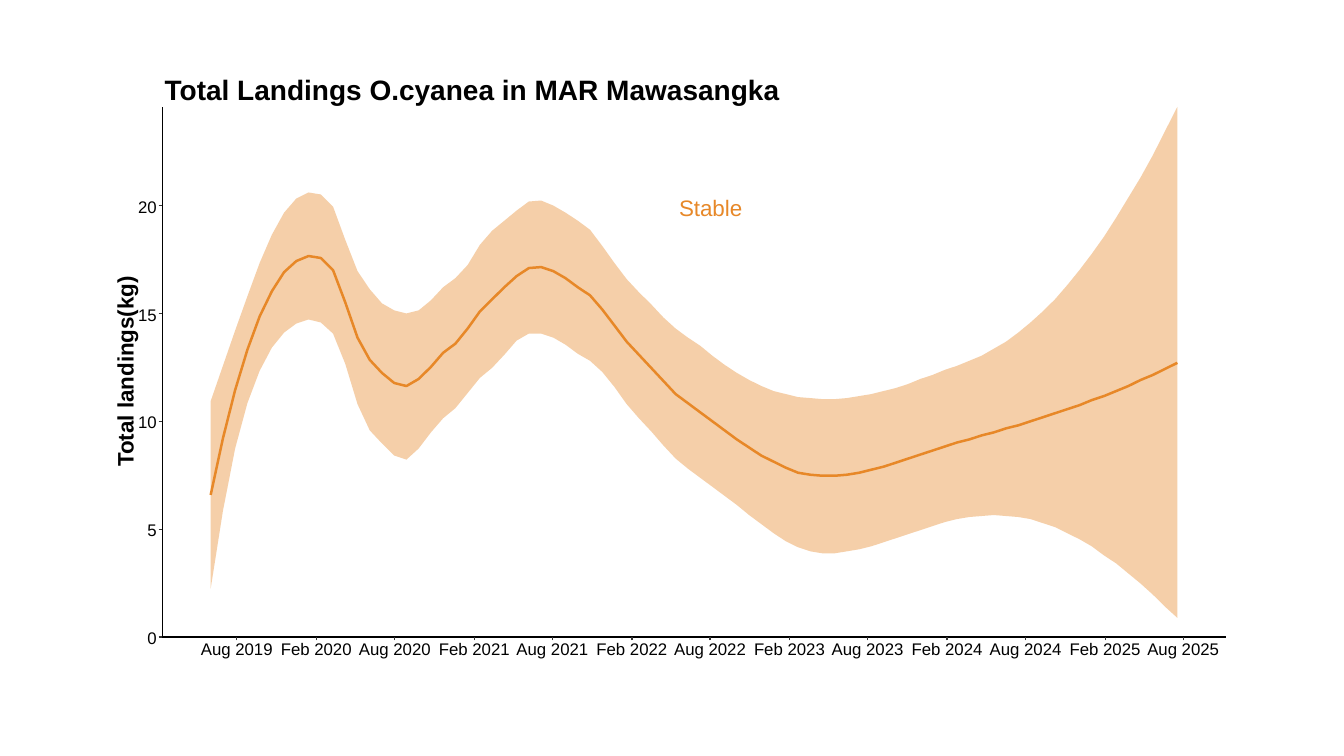
from dataclasses import dataclass

from lxml.etree import SubElement
from pptx import Presentation
from pptx.dml.color import RGBColor
from pptx.enum.text import MSO_AUTO_SIZE, PP_ALIGN
from pptx.oxml.ns import qn
from pptx.util import Pt


@dataclass(frozen=True)
class Theme:
    font: str = "Arial"
    orange: RGBColor = RGBColor(0xE7, 0x88, 0x28)
    black: RGBColor = RGBColor(0, 0, 0)
    tick: RGBColor = RGBColor(0x33, 0x33, 0x33)
    band_alpha: int = 40
    title: int = 20
    heading: int = 16
    label: int = 12
    trend_width: float = 1.78
    axis_width: float = 0.89


THEME = Theme()
UNIT = 0.72
AXIS_X, AXIS_TOP, AXIS_Y, AXIS_RIGHT = 115.9, 76.3, 455.0, 875.5
DATA_LEFT, DATA_RIGHT = 150.5, 841.0
TICK = 2.5
FIVE_KG = 77.05
FIRST_DATE_X, DAY = 169.2, 0.3084

UPPER = [
    398, 363, 328, 294, 261, 233, 211, 197, 191, 193, 205, 238, 269, 287, 301, 308,
    311, 308, 298, 285, 276, 263, 243, 229, 219, 209, 200, 199, 204, 211, 219, 228,
    244, 261, 277, 290, 302, 315, 326, 335, 343, 353, 362, 370, 377, 383, 388, 391,
    394, 395, 396, 396, 395, 393, 391, 388, 385, 381, 376, 372, 367, 363, 358, 353,
    346, 339, 330, 320, 309, 297, 283, 268, 252, 235, 216, 196, 176, 154, 130, 106,
]
TREND = [
    491, 435, 387, 347, 314, 289, 270, 259, 254, 256, 268, 300, 335, 357, 370, 380,
    383, 376, 364, 350, 341, 326, 309, 297, 285, 274, 266, 265, 269, 276, 285, 293,
    307, 323, 339, 352, 365, 378, 391, 400, 409, 418, 427, 436, 444, 452, 458, 464,
    469, 471, 472, 472, 471, 469, 466, 463, 459, 455, 451, 447, 443, 439, 436, 432,
    429, 425, 422, 418, 414, 410, 406, 402, 397, 393, 388, 383, 377, 372, 366, 360,
]
LOWER = [
    584, 507, 445, 400, 368, 345, 330, 321, 317, 320, 331, 361, 401, 427, 440, 452,
    456, 445, 429, 415, 405, 390, 375, 365, 352, 338, 331, 331, 335, 342, 351, 358,
    369, 384, 401, 415, 428, 442, 455, 465, 474, 483, 492, 501, 511, 520, 529, 537,
    543, 547, 549, 549, 547, 545, 542, 538, 534, 530, 526, 522, 518, 515, 513, 512,
    511, 512, 513, 515, 519, 523, 529, 535, 542, 551, 559, 569, 579, 590, 602, 613,
]


def curve_points(levels):
    step = (DATA_RIGHT - DATA_LEFT) / (len(levels) - 1)
    return [(Pt(DATA_LEFT + i * step), Pt(y * UNIT)) for i, y in enumerate(levels)]


def add_outline(s, points, close):
    builder = s.shapes.build_freeform(*points[0])
    builder.add_line_segments(points[1:], close=close)
    sp = builder.convert_to_shape()
    sp.shadow.inherit = False
    return sp


def add_band(s, upper, lower):
    sp = add_outline(s, curve_points(upper) + curve_points(lower)[::-1], True)
    sp.fill.solid()
    sp.fill.fore_color.rgb = THEME.orange
    color = sp.fill._xPr.find(qn("a:solidFill"))[0]
    SubElement(color, qn("a:alpha"), val=str(THEME.band_alpha * 1000))
    sp.line.fill.background()


def add_trend(s, levels):
    sp = add_outline(s, curve_points(levels), False)
    sp.fill.background()
    sp.line.color.rgb = THEME.orange
    sp.line.width = Pt(THEME.trend_width)


def add_line(s, x1, y1, x2, y2, color):
    line = s.shapes.add_connector(1, Pt(x1), Pt(y1), Pt(x2), Pt(y2))
    line.line.color.rgb = color
    line.line.width = Pt(THEME.axis_width)
    SubElement(line._element.spPr, qn("a:effectLst"))


def add_label(s, text, x, y, w, h, size, color=THEME.black, bold=False, rotation=0):
    sp = s.shapes.add_textbox(Pt(x), Pt(y), Pt(w), Pt(h))
    sp.rotation = rotation
    tf = sp.text_frame
    tf.text = text
    tf.word_wrap = False
    tf.auto_size = MSO_AUTO_SIZE.SHAPE_TO_FIT_TEXT
    p = tf.paragraphs[0]
    p.alignment = PP_ALIGN.CENTER
    r = p.runs[0]
    r.font.name = THEME.font
    r.font.size = Pt(size)
    r.font.bold = bold
    r.font.color.rgb = color


def add_landings_axis(s):
    add_line(s, AXIS_X, AXIS_Y, AXIS_X, AXIS_TOP, THEME.black)
    for i in range(5):
        y = AXIS_Y - i * FIVE_KG
        text = str(5 * i)
        w = 14.4 + 6.67 * len(text)
        add_line(s, AXIS_X - TICK, y, AXIS_X, y, THEME.tick)
        add_label(s, text, 119.2 - w, y - 10, w, 21.6, THEME.label)


def add_date_axis(s):
    add_line(s, AXIS_X, AXIS_Y, AXIS_RIGHT, AXIS_Y, THEME.black)
    x = FIRST_DATE_X
    for i in range(13):
        month = ("Aug", "Feb")[i % 2]
        year = 2019 + (i + 1) // 2
        add_line(s, x, AXIS_Y + TICK, x, AXIS_Y, THEME.tick)
        add_label(s, f"{month} {year}", x - 33, 452.9, 66, 21.6, THEME.label)
        days = 184 if month == "Aug" else 181 + (year % 4 == 0)
        x += days * DAY


def main():
    prs = Presentation()
    prs.slide_width, prs.slide_height = Pt(960), Pt(540)
    s = prs.slides.add_slide(prs.slide_layouts[6])
    add_band(s, UPPER, LOWER)
    add_trend(s, TREND)
    add_label(s, "Stable", 477.4, 135.4, 60.5, 26.6, THEME.heading, THEME.orange)
    add_landings_axis(s)
    add_date_axis(s)
    add_label(s, "Total landings(kg)", 13, 252, 152.6, 26.6, THEME.heading,
              bold=True, rotation=270)
    add_label(s, "Total Landings O.cyanea in MAR Mawasangka", 108.7, 48.2, 457.2, 31.7,
              THEME.title, bold=True)
    prs.save("out.pptx")


if __name__ == "__main__":
    main()
